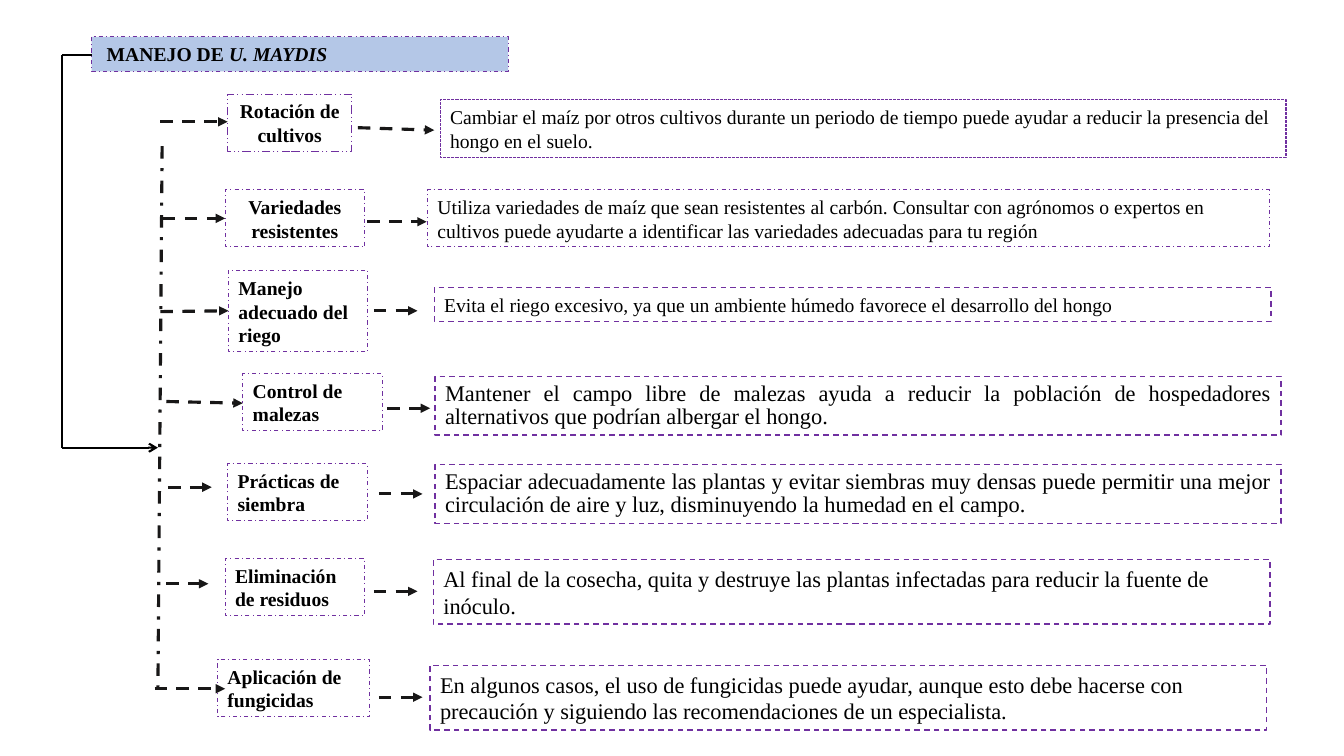
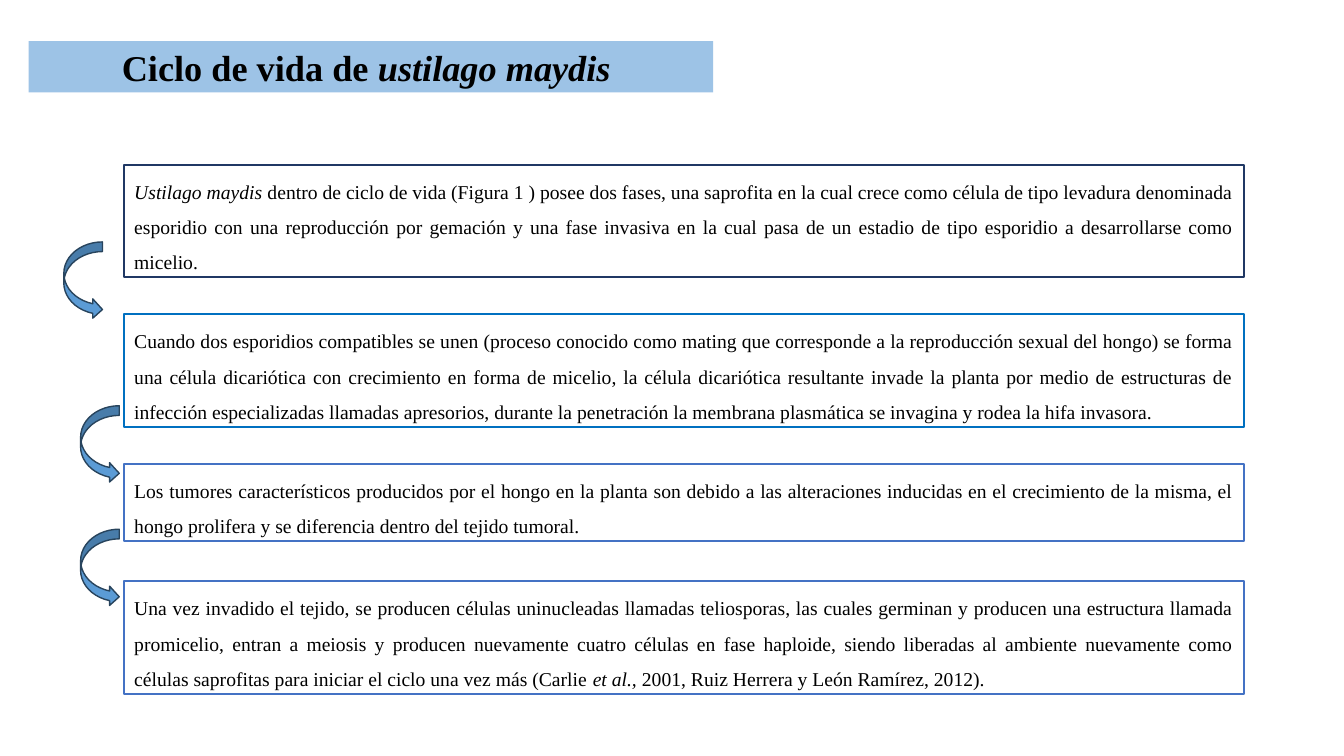
from pptx import Presentation
from pptx import util as u
from pptx.dml.color import RGBColor
from pptx.enum import dml, shapes, text
from pptx.oxml.ns import qn
from lxml import etree

COLS, ROWS = 160, 90
FONT = "Times New Roman"
COLORS = {
    "ink": "000000", "connector": "181717", "purple": "7030A0",
    "soft": "B4C7E7", "band": "9DC3E6", "navy": "203864", "sea": "0070C0",
    "blue": "4472C4", "arrow": "5B9BD5", "edge": "28445D",
}
DASH = dml.MSO_LINE
SHAPE = shapes.MSO_SHAPE
ALIGN = text.PP_ALIGN

MEASURES = [
    dict(label="Rotación de cultivos", box=(27.1, 11.2, 14.8, 6.8),
         label_fmt=dict(align=ALIGN.CENTER), label_dash=DASH.DASH_DOT_DOT,
         detail="Cambiar el maíz por otros cultivos durante un periodo de tiempo puede ayudar a reducir la presencia del hongo en el suelo.",
         detail_box=(52.4, 11.9, 100.7, 6.8), line=(0.75, DASH.SQUARE_DOT),
         arrows=[(19.1, 14.5, 27.1, 14.5), (42.6, 15.2, 51.7, 15.5)]),
    dict(label="Variedades resistentes", box=(26.8, 22.6, 16.6, 6.8),
         label_fmt=dict(align=ALIGN.CENTER),
         detail="Utiliza variedades de maíz que sean resistentes al carbón. Consultar con agrónomos o expertos en cultivos puede ayudarte a identificar las variedades adecuadas para tu región",
         detail_box=(50.9, 22.6, 100.2, 6.8), line=(0.75, DASH.DASH_DOT),
         arrows=[(19.4, 26, 26.8, 26), (43.7, 26.4, 50.8, 26.4)]),
    dict(label="Manejo adecuado del riego", box=(27.2, 32.2, 16.6, 9.7),
         detail="Evita el riego excesivo, ya que un ambiente húmedo favorece el desarrollo del hongo",
         detail_box=(51.7, 34.2, 99.6, 4.1),
         arrows=[(19.1, 37.1, 27.2, 37), (44.5, 37, 49.7, 37)]),
    dict(label="Control de malezas", box=(28.9, 44.5, 16.6, 6.8),
         detail="Mantener el campo libre de malezas ayuda a reducir la población de hospedadores alternativos que podrían albergar el hongo.",
         detail_box=(51.8, 44.8, 100.7, 7),
         detail_fmt=dict(size=16, align=ALIGN.JUSTIFY, spacing=u.Pt(16.8)),
         arrows=[(19.8, 47.8, 28.9, 48), (46.1, 48.6, 51.2, 48.6)]),
    dict(label="Prácticas de siembra", box=(27.1, 55.2, 16.6, 6.8),
         detail="Espaciar adecuadamente las plantas y evitar siembras muy densas puede permitir una mejor circulación de aire y luz, disminuyendo la humedad en el campo.",
         detail_box=(51.8, 55.3, 100.7, 7),
         detail_fmt=dict(size=16, align=ALIGN.JUSTIFY, spacing=u.Pt(16.8)),
         arrows=[(20, 58, 25.2, 58), (45.1, 58.8, 50.3, 58.8)]),
    dict(label="Eliminación de residuos", box=(26.8, 66.5, 16.6, 6.8),
         detail="Al final de la cosecha, quita y destruye las plantas infectadas para reducir la fuente de inóculo.",
         detail_box=(51.6, 66.6, 99.6, 7.7), detail_fmt=dict(size=16),
         arrows=[(19.8, 69.5, 24.8, 69.5), (44.5, 70.4, 49.7, 70.4)]),
    dict(label="Aplicación de fungicidas", box=(25.9, 78.5, 18.1, 6.8),
         detail="En algunos casos, el uso de fungicidas puede ayudar, aunque esto debe hacerse con precaución y siguiendo las recomendaciones de un especialista.",
         detail_box=(51.2, 79.2, 99.6, 7.7), detail_fmt=dict(size=16),
         arrows=[(18.4, 82, 26.8, 82), (45.1, 83, 50.3, 83)]),
]

STAGES = [
    (19.6, 13.4, "navy", "*Ustilago maydis* dentro de ciclo de vida (Figura 1 ) posee dos fases, una saprofita en la cual crece como célula de tipo levadura denominada esporidio con una reproducción por gemación y una fase invasiva en la cual pasa de un estadio de tipo esporidio a desarrollarse como micelio."),
    (37.4, 13.4, "sea", "Cuando dos esporidios compatibles se unen (proceso conocido como mating que corresponde a la reproducción sexual del hongo) se forma una célula dicariótica con crecimiento en forma de micelio, la célula dicariótica resultante invade la planta por medio de estructuras de infección especializadas llamadas apresorios, durante la penetración la membrana plasmática se invagina y rodea la hifa invasora."),
    (55.2, 9.2, "blue", "Los tumores característicos producidos por el hongo en la planta son debido a las alteraciones inducidas en el crecimiento de la misma, el hongo prolifera y se diferencia dentro del tejido tumoral."),
    (69.2, 13.4, "blue", "Una vez invadido el tejido, se producen células uninucleadas llamadas teliosporas, las cuales germinan y producen una estructura llamada promicelio, entran a meiosis y producen nuevamente cuatro células en fase haploide, siendo liberadas al ambiente nuevamente como células saprofitas para iniciar el ciclo una vez más (Carlie *et al.,* 2001, Ruiz Herrera y León Ramírez, 2012)."),
]


def rgb(name):
    return RGBColor.from_string(COLORS[name])


def write(sp, content, size=14, bold=False, align=ALIGN.LEFT, spacing=1.0):
    tf = sp.text_frame
    tf.word_wrap = True
    tf.auto_size = text.MSO_AUTO_SIZE.NONE
    tf.vertical_anchor = text.MSO_ANCHOR.MIDDLE
    p = tf.paragraphs[0]
    p.alignment = align
    p.line_spacing = spacing
    for i, part in enumerate(content.split("*")):
        if part:
            r = p.add_run()
            r.text = part
            r.font.name = FONT
            r.font.size = u.Pt(size)
            r.font.bold = bold
            r.font.italic = i % 2 == 1
            r.font.color.rgb = rgb("ink")


class Deck:
    def __init__(self):
        self.prs = Presentation()
        self.prs.slide_width = u.Inches(13.33)
        self.prs.slide_height = u.Inches(7.5)
        self.s = None

    def x(self, cols):
        return round(self.prs.slide_width * cols / COLS)

    def y(self, rows):
        return round(self.prs.slide_height * rows / ROWS)

    def frame(self, box):
        left, top, width, height = box
        return self.x(left), self.y(top), self.x(width), self.y(height)

    def outline(self, line, color, width, dash=None):
        line.color.rgb = rgb(color)
        line.width = u.Pt(width)
        if dash is not None:
            line.dash_style = dash

    def slide(self):
        self.s = self.prs.slides.add_slide(self.prs.slide_layouts[5])

    def title(self, content, box, fill, inset=1.2, **fmt):
        sp = self.s.shapes.title
        sp.left, sp.top, sp.width, sp.height = self.frame(box)
        sp.fill.solid()
        sp.fill.fore_color.rgb = rgb(fill)
        sp.text_frame.margin_left = self.x(inset)
        write(sp, content, bold=True, **fmt)
        return sp

    def shape(self, kind, box, color, width, dash=None, fill=None):
        sp = self.s.shapes.add_shape(kind, *self.frame(box))
        sp.shadow.inherit = False
        if fill:
            sp.fill.solid()
            sp.fill.fore_color.rgb = rgb(fill)
        else:
            sp.fill.background()
        self.outline(sp.line, color, width, dash)
        return sp

    def box(self, content, box, color, width, dash=None, **fmt):
        write(self.shape(SHAPE.RECTANGLE, box, color, width, dash), content, **fmt)

    def line(self, ends, color="connector", width=2.25, dash=None, head=None):
        x1, y1, x2, y2 = ends
        sp = self.s.shapes.add_connector(
            shapes.MSO_CONNECTOR.STRAIGHT, self.x(x1), self.y(y1), self.x(x2), self.y(y2))
        self.outline(sp.line, color, width, dash)
        if head:
            etree.SubElement(sp.line._get_or_add_ln(), qn("a:tailEnd"), type=head)
        etree.SubElement(sp._element.spPr, qn("a:effectLst"))


def management(deck):
    deck.slide()
    title = deck.title("MANEJO DE *U. MAYDIS*", (10.9, 4.4, 49.6, 4.1), "soft", inset=1.8)
    deck.outline(title.line, "purple", 0.75, DASH.DASH_DOT)
    deck.line((19.3, 17.4, 18.8, 82), dash=DASH.DASH_DOT)
    for m in MEASURES:
        deck.box(m["label"], m["box"], "purple", 0.75, m.get("label_dash", DASH.DASH_DOT),
                 bold=True, **m.get("label_fmt", {}))
        deck.box(m["detail"], m["detail_box"], "purple", *m.get("line", (1, DASH.DASH)),
                 **m.get("detail_fmt", {}))
        for ends in m["arrows"]:
            deck.line(ends, dash=DASH.DASH, head="triangle")
    bracket = [(10.9, 6.5), (7.4, 6.5), (7.4, 53.3), (18.8, 53.3)]
    for start, end, head in zip(bracket, bracket[1:], (None, None, "arrow")):
        deck.line(start + end, "ink", 1.5, head=head)


def life_cycle(deck):
    deck.slide()
    deck.title("Ciclo de vida de *ustilago maydis *", (3.4, 4.9, 81.5, 6.1), "band",
               size=25.9, align=ALIGN.CENTER)
    for top, height, color, content in STAGES:
        deck.box(content, (14.8, top, 133.3, height), color, 1.5,
                 align=ALIGN.JUSTIFY, spacing=1.5)
    for left, top in ((7.6, 28.8), (9.6, 48.3), (9.6, 63)):
        deck.shape(SHAPE.CURVED_RIGHT_ARROW, (left, top, 4.6, 9.2), "edge", 1, fill="arrow")


def main():
    deck = Deck()
    management(deck)
    life_cycle(deck)
    deck.prs.save("out.pptx")


if __name__ == "__main__":
    main()
